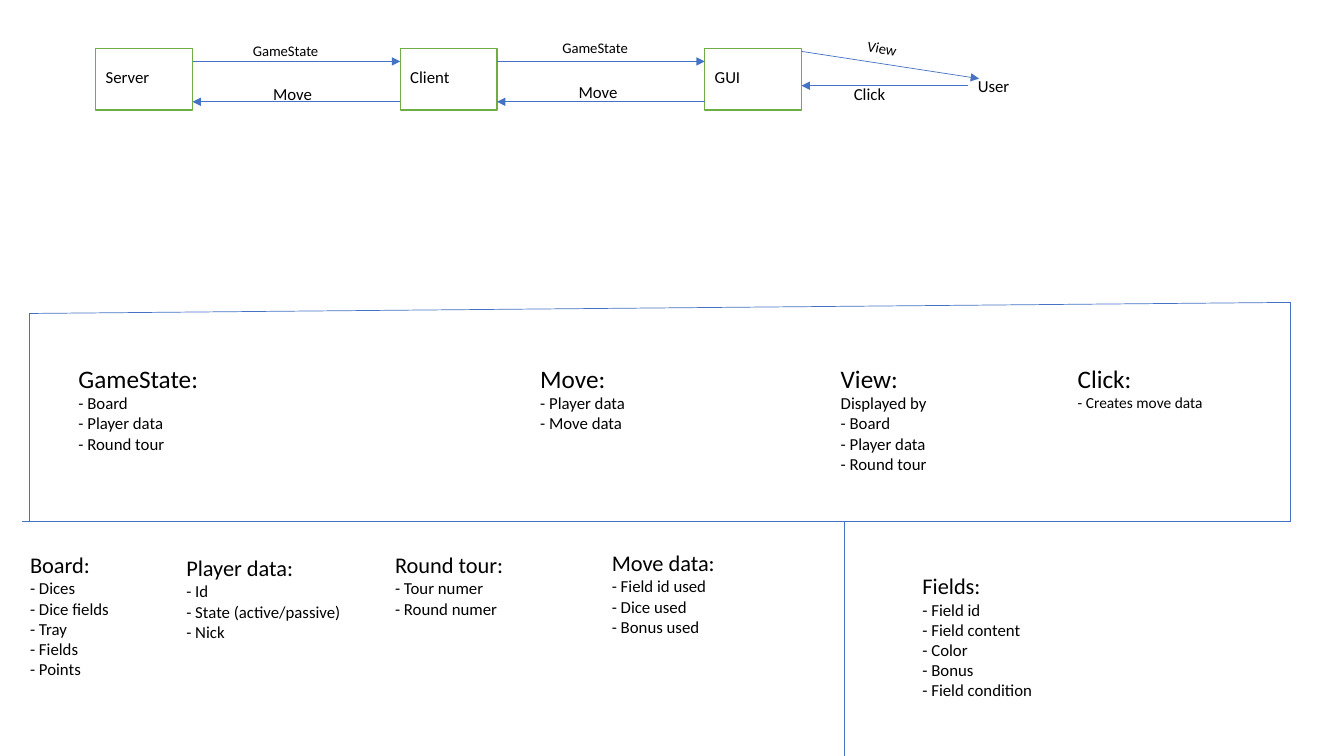
from dataclasses import dataclass

from lxml.etree import SubElement
from pptx import Presentation
from pptx.dml.color import RGBColor as RGB
from pptx.enum.shapes import MSO_CONNECTOR as Link, MSO_SHAPE as Shape
from pptx.enum.text import MSO_ANCHOR as Anchor, MSO_AUTO_SIZE as Fit, PP_ALIGN as Align
from pptx.oxml.ns import qn
from pptx.util import Inches, Pt


@dataclass(frozen=True)
class Theme:
    font: str = "Calibri"
    ink: RGB = RGB(0, 0, 0)
    paper: RGB = RGB(255, 255, 255)
    edge: RGB = RGB(0x70, 0xAD, 0x47)
    wire: RGB = RGB(0x44, 0x72, 0xC4)
    edge_pt: float = 1
    wire_pt: float = 0.5
    head: float = 18
    subhead: float = 16
    body: float = 12
    note: float = 11
    label: float = 10.5


THEME = Theme()

# Flow row: three equal boxes, evenly spaced
NODES = ["Server", "Client", "GUI"]
LEFT, TOP, WIDE, HIGH, STEP = 0.95, 0.48, 0.96, 0.61, 3.02
STATE_Y, MOVE_Y = 0.61, 1.01

# text, left, top, width, height, size, rotation
LABELS = [
    ("GameState", 2.41, 0.37, 1.1, 0.28, THEME.label, 0),
    ("GameState", 5.48, 0.34, 1.1, 0.28, THEME.label, 0),
    ("Move", 2.61, 0.78, 1.1, 0.3, THEME.body, 0),
    ("Move", 5.64, 0.76, 1.1, 0.3, THEME.body, 0),
    ("View", 8.5, 0.4, 1.1, 0.28, THEME.label, 10.9),
    ("Click", 8.37, 0.78, 1.1, 0.3, THEME.body, 0),
    ("User", 9.6, 0.7, 1.1, 0.3, THEME.body, 0),
]

# heading, lines, left, top, width, height, line size
MESSAGES = [
    ("GameState:", ["- Board", "- Player data", "- Round tour"],
     0.68, 3.55, 1.83, 1.01, THEME.body),
    ("Move:", ["- Player data", "- Move data"],
     5.26, 3.55, 2.06, 0.81, THEME.body),
    ("View:", ["Displayed by", "- Board", "- Player data", "- Round tour"],
     8.24, 3.55, 1.83, 1.21, THEME.body),
    ("Click:", ["- Creates move data"],
     10.59, 3.55, 1.83, 0.59, THEME.note),
]
PARTS = [
    ("Board:", ["- Dices", "- Dice fields", "- Tray", "- Fields", "- Points"],
     0.2, 5.42, 1.34, 1.38, THEME.body),
    ("Player data:", ["- Id", "- State (active/passive)", "- Nick"],
     1.75, 5.45, 2.07, 0.98, THEME.body),
    ("Round tour:", ["- Tour numer", "- Round numer"],
     3.82, 5.42, 1.4, 0.77, THEME.body),
    ("Move data:", ["- Field id used", "- Dice used", "- Bonus used"],
     5.97, 5.4, 1.5, 0.98, THEME.body),
    ("Fields:", ["- Field id", "- Field content", "- Color", "- Bonus", "- Field condition"],
     9.05, 5.63, 1.65, 1.38, THEME.body),
]

# Frame around the messages, and the divider below it
FRAME = [(0.22, 5.17), (12.8, 5.17), (12.8, 3), (0.29, 3.11), (0.29, 5.17)]
DIVIDER = [(8.37, 5.17), (8.37, 7.5)]


def fill_text(frame, rows):
    """Write (text, size) rows, one paragraph each."""
    for i, (text, size) in enumerate(rows):
        para = frame.add_paragraph() if i else frame.paragraphs[0]
        para.alignment = Align.LEFT
        run = para.add_run()
        run.text = text
        for name, value in {"name": THEME.font, "size": Pt(size)}.items():
            setattr(run.font, name, value)
        run.font.color.rgb = THEME.ink


def add_text(slide, rows, left, top, width, height, turn=0):
    box = slide.shapes.add_textbox(*map(Inches, (left, top, width, height)))
    box.rotation = turn
    for name, value in {"word_wrap": True, "auto_size": Fit.SHAPE_TO_FIT_TEXT}.items():
        setattr(box.text_frame, name, value)
    fill_text(box.text_frame, rows)


def add_node(slide, text, left):
    box = slide.shapes.add_shape(Shape.RECTANGLE, *map(Inches, (left, TOP, WIDE, HIGH)))
    box.shadow.inherit = False
    box.fill.solid()
    box.fill.fore_color.rgb = THEME.paper
    box.line.color.rgb = THEME.edge
    box.line.width = Pt(THEME.edge_pt)
    look = {"vertical_anchor": Anchor.MIDDLE, "margin_bottom": Inches(0.1)}
    for name, value in look.items():
        setattr(box.text_frame, name, value)
    fill_text(box.text_frame, [(text, THEME.body)])


def add_line(slide, start, end, arrow=False):
    line = slide.shapes.add_connector(Link.STRAIGHT, *map(Inches, start + end))
    line.line.color.rgb = THEME.wire
    line.line.width = Pt(THEME.wire_pt)
    if arrow:
        SubElement(line.line._get_or_add_ln(), qn("a:tailEnd"), type="triangle")
    SubElement(line._element.spPr, qn("a:effectLst"))


def add_flow(slide):
    for i, name in enumerate(NODES):
        add_node(slide, name, LEFT + i * STEP)
    for i in range(len(NODES) - 1):
        near, far = LEFT + i * STEP + WIDE, LEFT + (i + 1) * STEP
        add_line(slide, (near, STATE_Y), (far, STATE_Y), arrow=True)
        add_line(slide, (far, MOVE_Y), (near, MOVE_Y), arrow=True)
    edge = LEFT + 2 * STEP + WIDE
    add_line(slide, (edge, 0.51), (9.71, 0.78), arrow=True)
    add_line(slide, (9.6, 0.85), (edge, 0.85), arrow=True)
    for text, left, top, width, height, size, turn in LABELS:
        add_text(slide, [(text, size)], left, top, width, height, turn)


def add_lists(slide, lists, head):
    for title, lines, left, top, width, height, size in lists:
        rows = [(title, head)] + [(line, size) for line in lines]
        add_text(slide, rows, left, top, width, height)


def main():
    deck = Presentation()
    deck.slide_width, deck.slide_height = Inches(13.33), Inches(7.5)
    slide = deck.slides.add_slide(deck.slide_layouts[6])
    add_flow(slide)
    for start, end in [*zip(FRAME, FRAME[1:]), DIVIDER]:
        add_line(slide, start, end)
    add_lists(slide, MESSAGES, THEME.head)
    add_lists(slide, PARTS, THEME.subhead)
    deck.save("out.pptx")


if __name__ == "__main__":
    main()
